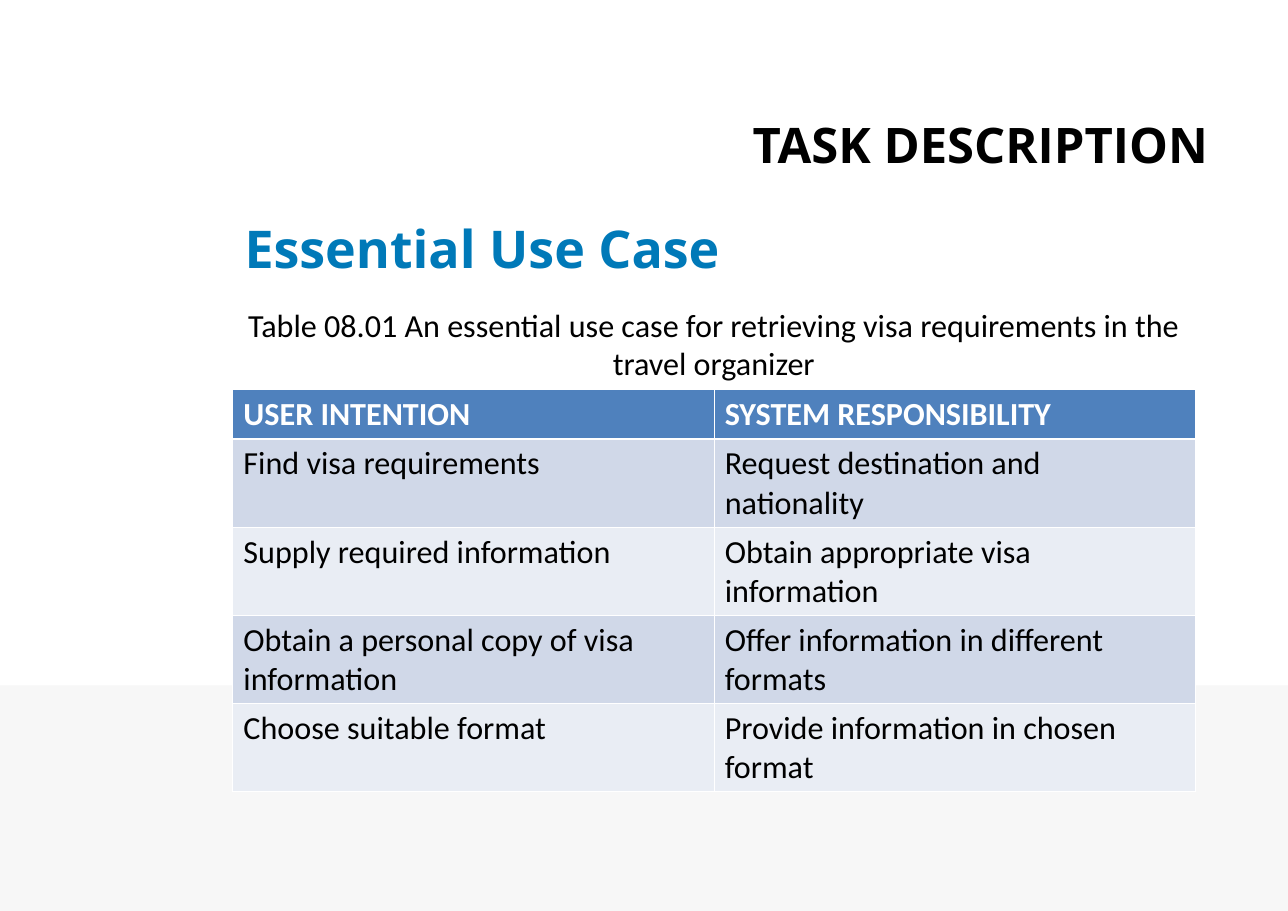
from dataclasses import dataclass

from lxml.etree import SubElement
from pptx import Presentation
from pptx.dml.color import RGBColor
from pptx.enum.shapes import MSO_SHAPE
from pptx.enum.text import MSO_ANCHOR, PP_ALIGN
from pptx.oxml.ns import qn
from pptx.util import Cm, Pt


@dataclass(frozen=True)
class Theme:
    heading_font: str = "Open Sans"
    body_font: str = "Calibri"
    section_size: float = 32
    title_size: float = 34
    body_size: float = 21
    text: str = "000000"
    title: str = "0079B8"
    white: str = "FFFFFF"
    footer: str = "F7F7F7"
    header: str = "4F81BD"
    bands: tuple = ("D0D8E8", "E9EDF4")
    thin: float = 0.45
    thick: float = 1.47


class SlideBuilder:
    def __init__(self, slide, theme):
        self.slide = slide
        self.theme = theme

    def style(self, p, font, size, color, bold=False):
        p.font.name = font
        p.font.size = Pt(size)
        p.font.bold = bold
        p.font.color.rgb = RGBColor.from_string(color)

    def band(self, x, y, w, h, color):
        sp = self.slide.shapes.add_shape(MSO_SHAPE.RECTANGLE, Cm(x), Cm(y), Cm(w), Cm(h))
        sp.shadow.inherit = False
        sp.fill.solid()
        sp.fill.fore_color.rgb = RGBColor.from_string(color)
        sp.line.fill.background()

    def text(self, x, y, w, h, words, font, size, color, bold=False,
             align=PP_ALIGN.LEFT, anchor=MSO_ANCHOR.TOP, inset=(0.25, 0.13), wrap=True):
        tf = self.slide.shapes.add_textbox(Cm(x), Cm(y), Cm(w), Cm(h)).text_frame
        tf.word_wrap = wrap
        tf.vertical_anchor = anchor
        tf.margin_left = tf.margin_right = Cm(inset[0])
        tf.margin_top = tf.margin_bottom = Cm(inset[1])
        p = tf.paragraphs[0]
        p.text = words
        p.alignment = align
        self.style(p, font, size, color, bold)

    def borders(self, cell, top, bottom):
        """Draw white cell edges; top and bottom are line widths in points."""
        thin = self.theme.thin
        tc_pr = cell._tc.get_or_add_tcPr()
        for tag, width in (("a:lnL", thin), ("a:lnR", thin), ("a:lnT", top), ("a:lnB", bottom)):
            ln = SubElement(tc_pr, qn(tag), w=str(int(Pt(width))))
            fill = SubElement(ln, qn("a:solidFill"))
            SubElement(fill, qn("a:srgbClr"), val=self.theme.white)

    def table(self, x, y, w, heights, rows):
        """Build a table whose first row is the header."""
        t = self.theme
        cols = len(rows[0])
        table = self.slide.shapes.add_table(
            len(rows), cols, Cm(x), Cm(y), Cm(w), Cm(sum(heights))).table
        for col in table.columns:
            col.width = Cm(w / cols)
        for i, (row, height) in enumerate(zip(rows, heights)):
            table.rows[i].height = Cm(height)
            is_header = i == 0
            fill = t.header if is_header else t.bands[(i - 1) % 2]
            for j, words in enumerate(row):
                cell = table.cell(i, j)
                self.borders(cell, t.thick if i == 1 else t.thin,
                             t.thick if is_header else t.thin)
                cell.fill.solid()
                cell.fill.fore_color.rgb = RGBColor.from_string(fill)
                p = cell.text_frame.paragraphs[0]
                p.text = words
                self.style(p, t.body_font, t.body_size,
                           t.white if is_header else t.text, is_header)


USE_CASE = [
    ("USER INTENTION", "SYSTEM RESPONSIBILITY"),
    ("Find visa requirements", "Request destination and nationality"),
    ("Supply required information", "Obtain appropriate visa information"),
    ("Obtain a personal copy of visa information", "Offer information in different formats"),
    ("Choose suitable format", "Provide information in chosen format"),
]
LEFT, WIDTH = 5.36, 22.2


def main():
    prs = Presentation()
    prs.slide_width, prs.slide_height = Cm(29.7), Cm(21)
    t = Theme()
    s = SlideBuilder(prs.slides.add_slide(prs.slide_layouts[6]), t)

    s.band(0, 15.8, 29.7, 5.2, t.footer)
    s.text(LEFT, 4.5, WIDTH, 2.4, "Essential Use Case", t.heading_font, t.title_size,
           t.title, bold=True, anchor=MSO_ANCHOR.MIDDLE, inset=(0.28, 0.15))
    s.table(LEFT, 8.97, WIDTH, [1.14] + [2.03] * 4, USE_CASE)
    s.text(16.97, 2.5, 11.18, 1.65, "TASK DESCRIPTION", t.heading_font, t.section_size,
           t.text, bold=True, align=PP_ALIGN.RIGHT, inset=(0.28, 0.15), wrap=False)
    s.text(LEFT, 6.9, WIDTH, 2.03,
           "Table 08.01 An essential use case for retrieving visa requirements "
           "in the travel organizer",
           t.body_font, t.body_size, t.text, align=PP_ALIGN.CENTER)
    prs.save("out.pptx")


if __name__ == "__main__":
    main()
